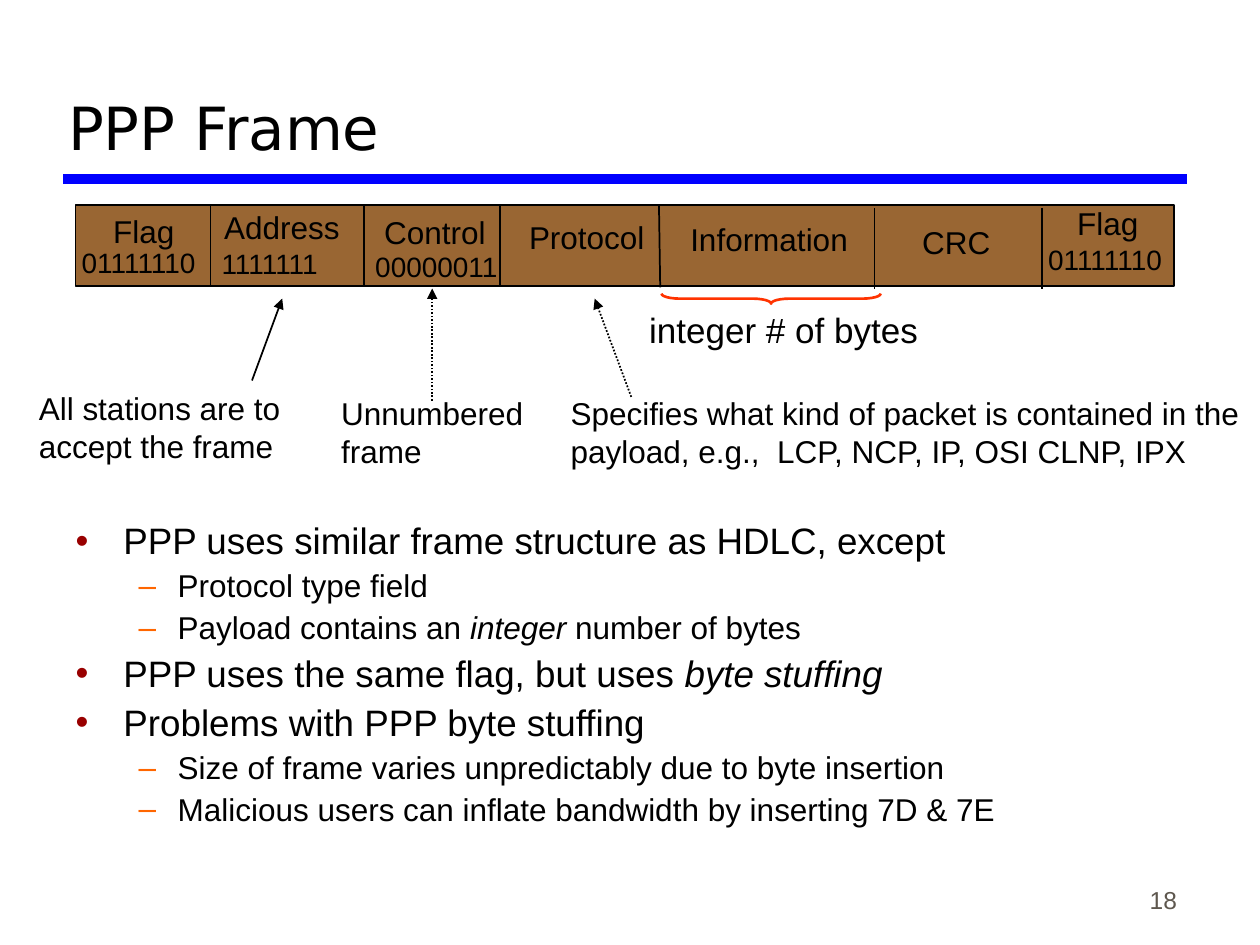
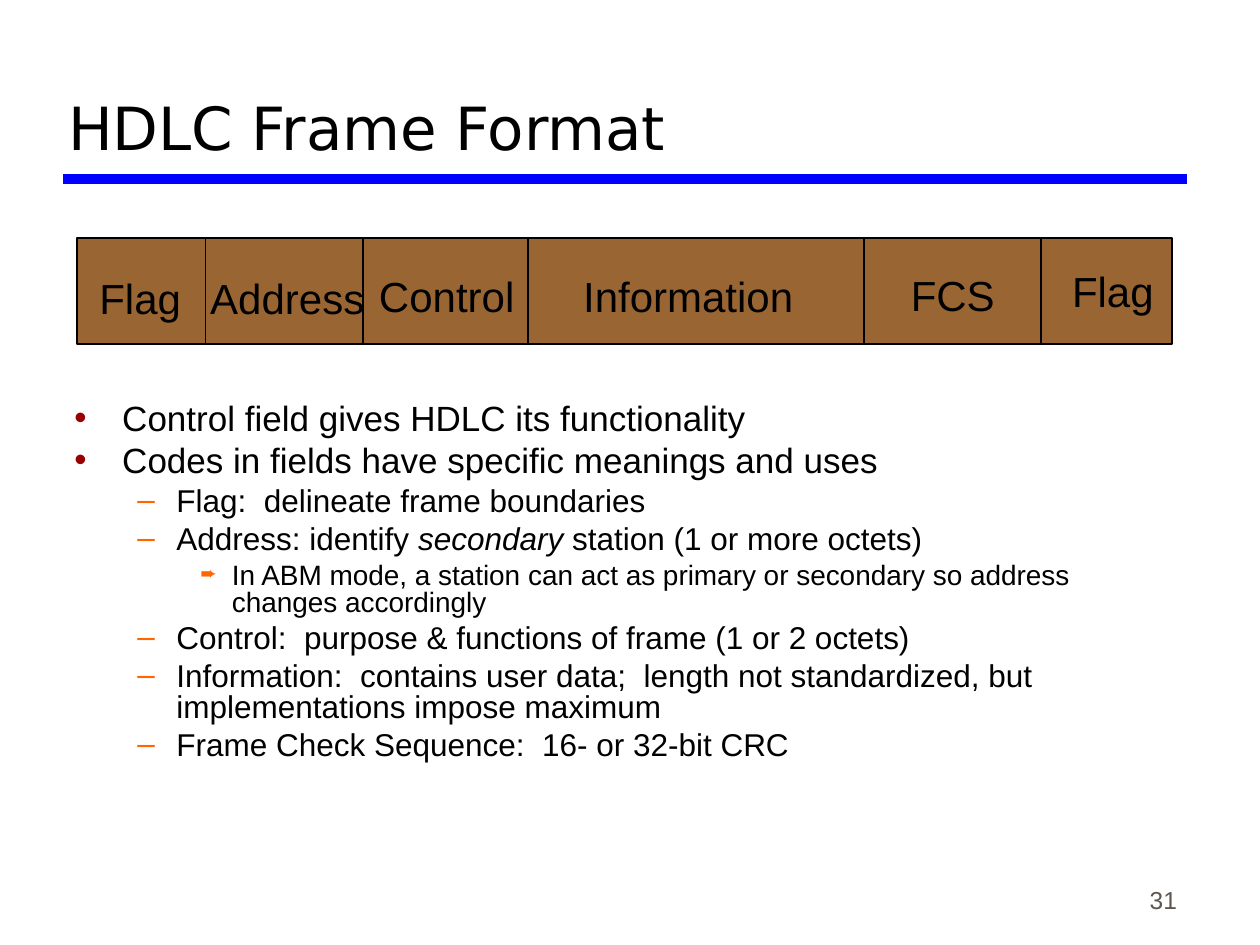
from lxml.etree import SubElement
from pptx import Presentation
from pptx.dml.color import RGBColor
from pptx.enum.dml import MSO_LINE
from pptx.enum.shapes import MSO_CONNECTOR, MSO_SHAPE
from pptx.enum.text import MSO_ANCHOR, MSO_AUTO_SIZE, PP_ALIGN
from pptx.oxml.ns import qn
from pptx.util import Inches, Pt

BLACK = RGBColor(0x00, 0x00, 0x00)
RULE_BLUE = RGBColor(0x00, 0x00, 0xFF)
FRAME_BROWN = RGBColor(0x99, 0x66, 0x33)
BRACE_RED = RGBColor(0xFF, 0x33, 0x00)
NUMBER_GRAY = RGBColor(0x5E, 0x57, 0x4E)
BULLET_RED = RGBColor(0x99, 0x00, 0x00)
BULLET_ORANGE = RGBColor(0xFF, 0x66, 0x00)

TITLE_FONT = "DejaVu Sans"
TEXT_FONT = "Arial"

# Per list level: bullet, bullet colour, bullet size in %, left margin, hanging indent
LIST_LEVELS = [
    ("•", BULLET_RED, 100, 0.38, 0.38),
    ("–", BULLET_ORANGE, 100, 0.81, 0.31),
    ("➨", BULLET_ORANGE, 70, 1.25, 0.25),
]


def place(shape, left, top, width, height):
    shape.left, shape.top = Inches(left), Inches(top)
    shape.width, shape.height = Inches(width), Inches(height)


class Deck:
    def __init__(self):
        self.prs = Presentation()
        self.prs.slide_width, self.prs.slide_height = Inches(10), Inches(7.5)
        self.slide = None

    def new_slide(self, title, number):
        """Start a slide with its title, blue rule and page number."""
        self.slide = self.prs.slides.add_slide(self.prs.slide_layouts[1])
        self.line((0.5, 1.42), (9.42, 1.42), RULE_BLUE, 6)
        self.text([number], 7.36, 6.81, 2.08, 0.5, 14, NUMBER_GRAY,
                  PP_ALIGN.RIGHT, wrap=True, anchor=MSO_ANCHOR.BOTTOM)
        heading = self.slide.shapes.title
        place(heading, 0.44, 0.17, 8.97, 1.17)
        heading.text_frame.vertical_anchor = MSO_ANCHOR.BOTTOM
        heading.text_frame.auto_size = MSO_AUTO_SIZE.NONE
        paragraph = heading.text_frame.paragraphs[0]
        paragraph.alignment = PP_ALIGN.LEFT
        self.runs(paragraph, title, 34, font=TITLE_FONT)

    def runs(self, paragraph, text, size, color=BLACK, font=TEXT_FONT):
        """Add the text run by run; words between asterisks are italic."""
        for index, part in enumerate(text.split("*")):
            if part:
                run = paragraph.add_run()
                run.text = part
                run.font.name, run.font.size = font, Pt(size)
                run.font.color.rgb = color
                run.font.italic = index % 2 == 1

    def text(self, lines, left, top, width, height, size, color=BLACK,
             align=PP_ALIGN.LEFT, wrap=False, anchor=MSO_ANCHOR.TOP):
        """Add a text box; without wrapping it grows to fit its lines."""
        box = self.slide.shapes.add_textbox(
            Inches(left), Inches(top), Inches(width), Inches(height))
        frame = box.text_frame
        frame.word_wrap, frame.vertical_anchor = wrap, anchor
        frame.auto_size = MSO_AUTO_SIZE.NONE if wrap else MSO_AUTO_SIZE.SHAPE_TO_FIT_TEXT
        for index, line in enumerate(lines):
            paragraph = frame.add_paragraph() if index else frame.paragraphs[0]
            paragraph.alignment = align
            self.runs(paragraph, line, size, color)

    def line(self, start, end, color=BLACK, width=1, dotted=False, arrow=False):
        connector = self.slide.shapes.add_connector(
            MSO_CONNECTOR.STRAIGHT, *map(Inches, start + end))
        connector.line.color.rgb = color
        connector.line.width = Pt(width)
        if dotted:
            connector.line.dash_style = MSO_LINE.ROUND_DOT
        properties = connector.element.spPr
        if arrow:
            SubElement(properties.find(qn("a:ln")), qn("a:tailEnd"), type="triangle")
        SubElement(properties, qn("a:effectLst"))

    def frame_bar(self, left, top, width, height, dividers):
        """Draw the frame; each divider has a start and an end point."""
        bar = self.slide.shapes.add_shape(
            MSO_SHAPE.RECTANGLE, Inches(left), Inches(top), Inches(width), Inches(height))
        bar.shadow.inherit = False
        bar.fill.solid()
        bar.fill.fore_color.rgb = FRAME_BROWN
        bar.line.color.rgb = BLACK
        bar.line.width = Pt(1)
        for start, end in dividers:
            self.line(start, end)

    def labels(self, entries, size, height):
        for name, left, top, width in entries:
            self.text([name], left, top, width, height, size)

    def brace_below(self, left, top, width, height):
        """Draw a brace that opens upwards, as a left brace turned by 270 degrees."""
        center_x, center_y = left + width / 2, top + height / 2
        brace = self.slide.shapes.add_shape(
            MSO_SHAPE.LEFT_BRACE, Inches(center_x - height / 2),
            Inches(center_y - width / 2), Inches(height), Inches(width))
        brace.rotation = 270
        brace.adjustments[0] = 1.8
        brace.shadow.inherit = False
        brace.fill.background()
        brace.line.color.rgb = BRACE_RED
        brace.line.width = Pt(1.5)

    def bullets(self, items, left, top, width, height, sizes, spacing):
        body = self.slide.placeholders[1]
        place(body, left, top, width, height)
        frame = body.text_frame
        frame.auto_size = MSO_AUTO_SIZE.NONE
        for index, (level, text) in enumerate(items):
            paragraph = frame.add_paragraph() if index else frame.paragraphs[0]
            paragraph.level = level
            paragraph.line_spacing = spacing
            paragraph.space_before = Pt(sizes[level] / 4 if index else 0)
            self.bullet(paragraph, *LIST_LEVELS[level])
            self.runs(paragraph, text, sizes[level])

    def bullet(self, paragraph, char, color, percent, margin, hanging):
        properties = paragraph._p.get_or_add_pPr()
        properties.set("marL", str(Inches(margin)))
        properties.set("indent", str(-Inches(hanging)))
        SubElement(SubElement(properties, qn("a:buClr")), qn("a:srgbClr"), val=str(color))
        SubElement(properties, qn("a:buSzPct"), val=str(percent * 1000))
        SubElement(properties, qn("a:buChar"), char=char)


def ppp_frame(deck):
    deck.new_slide("PPP Frame", "18")
    deck.bullets([
        (0, "PPP uses similar frame structure as HDLC, except"),
        (1, "Protocol type field"),
        (1, "Payload contains an *integer* number of bytes"),
        (0, "PPP uses the same flag, but uses *byte stuffing*"),
        (0, "Problems with PPP byte stuffing"),
        (1, "Size of frame varies unpredictably due to byte insertion"),
        (1, "Malicious users can inflate bandwidth by inserting 7D & 7E"),
    ], 0.5, 4.1, 9, 2.85, sizes=(21, 18), spacing=0.9)

    dividers = [((x, 1.63), (x, 2.27)) for x in (1.67, 2.89, 3.97)]
    dividers.append(((5.23, 1.63), (5.24, 2.28)))
    dividers += [((x, 1.65), (x, 2.29)) for x in (6.94, 8.27)]
    deck.frame_bar(0.6, 1.63, 8.72, 0.64, dividers)
    deck.labels([
        ("Flag", 0.8, 1.63, 0.71),
        ("Address", 1.68, 1.6, 1.15),
        ("Control", 2.95, 1.64, 1.03),
        ("Protocol", 4.1, 1.68, 1.15),
        ("Information", 5.38, 1.7, 1.48),
        ("CRC", 7.22, 1.72, 0.77),
        ("Flag", 8.45, 1.57, 0.71),
    ], 18, 0.4)
    deck.labels([
        ("01111110", 0.55, 1.9, 1.2),
        ("1111111", 1.66, 1.91, 1.08),
        ("00000011", 2.88, 1.93, 1.2),
        ("01111110", 8.22, 1.88, 1.2),
    ], 16, 0.36)

    deck.text(["All stations are to", "accept the frame"], 0.21, 3.04, 2.14, 0.7, 18)
    deck.text(["Unnumbered frame"], 2.61, 3.08, 1.77, 0.7, 18, wrap=True)
    deck.text(["Specifies what kind of packet is contained in the payload, "
               "e.g.,  LCP, NCP, IP, OSI CLNP, IPX"], 4.43, 3.08, 5.57, 0.7, 18, wrap=True)
    deck.line((2, 3.02), (2.24, 2.37), arrow=True)
    deck.line((3.43, 3.18), (3.43, 2.29), dotted=True, arrow=True)
    deck.line((5.01, 3.15), (4.72, 2.37), dotted=True, arrow=True)
    deck.brace_below(5.25, 2.33, 1.74, 0.08)
    deck.text(["integer # of bytes"], 5.02, 2.4, 2.4, 0.44, 20, align=PP_ALIGN.CENTER)


def hdlc_frame_format(deck):
    deck.new_slide("HDLC Frame Format", "31")
    deck.bullets([
        (0, "Control field gives HDLC its functionality"),
        (0, "Codes in fields have specific meanings and uses"),
        (1, "Flag:  delineate frame boundaries"),
        (1, "Address: identify *secondary* station (1 or more octets)"),
        (2, "In ABM mode, a station can act as primary or secondary "
            "so address changes accordingly"),
        (1, "Control:  purpose & functions of frame (1 or 2 octets)"),
        (1, "Information:  contains user data;  length not standardized, "
            "but implementations impose maximum"),
        (1, "Frame Check Sequence:  16- or 32-bit CRC"),
    ], 0.49, 3.16, 9, 3.57, sizes=(20, 18, 16), spacing=0.8)

    dividers = [((x, 1.9), (x, 2.74)) for x in (1.63, 2.88, 4.19, 6.86, 8.26)]
    deck.frame_bar(0.61, 1.89, 8.69, 0.84, dividers)
    deck.labels([
        ("Flag", 0.69, 2.11, 0.88),
        ("Address", 1.57, 2.11, 1.45),
        ("Control", 2.91, 2.1, 1.3),
        ("Information", 4.53, 2.1, 1.9),
        ("FCS", 7.13, 2.09, 0.89),
        ("Flag", 8.41, 2.06, 0.88),
    ], 24, 0.5)


def main():
    deck = Deck()
    ppp_frame(deck)
    hdlc_frame_format(deck)
    deck.prs.save("out.pptx")


if __name__ == "__main__":
    main()
